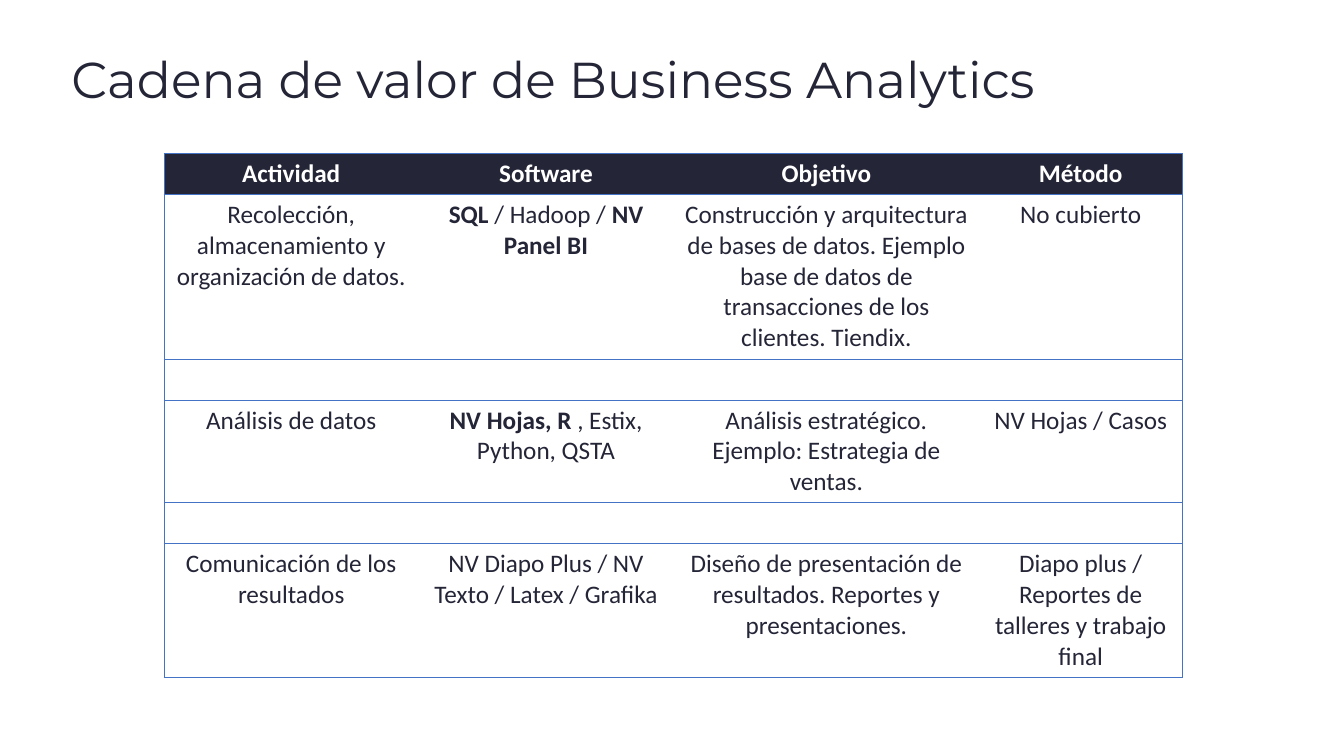
import pptx
import pptx.dml.color
import pptx.enum.text
import pptx.oxml
import pptx.oxml.ns
import pptx.util
from pptx.util import Cm

NAVY, WHITE, BLUE = "242537", "FFFFFF", "4472C4"
NO_STYLE = "{2D5ABB26-0587-4C30-8999-92F81FD0307C}"

# Text between asterisks is bold; an empty row separates the stages
ROWS = [
    ["*Actividad*", "*Software*", "*Objetivo*", "*Método*"],
    ["Recolección, almacenamiento y organización de datos.",
     "*SQL* / Hadoop / *NV Panel BI*",
     "Construcción y arquitectura de bases de datos. Ejemplo base de datos "
     "de transacciones de los clientes. Tiendix.",
     "No cubierto"],
    [""] * 4,
    ["Análisis de datos",
     "*NV Hojas, R* , Estix, Python, QSTA",
     "Análisis estratégico. Ejemplo: Estrategia de ventas.",
     "NV Hojas / Casos"],
    [""] * 4,
    ["Comunicación de los resultados",
     "NV Diapo Plus / NV Texto / Latex / Grafika",
     "Diseño de presentación de resultados. Reportes y presentaciones.",
     "Diapo plus / Reportes de talleres y trabajo final"],
]
ROW_LINES = [1, 5, 1, 3, 1, 4]
COL_WIDTHS = [6.42, 6.42, 7.71, 5.11]


def rgb(value):
    return pptx.dml.color.RGBColor.from_string(value)


def add_run(p, text, color, **formats):
    r = p.add_run()
    r.text = text
    for name, value in formats.items():
        setattr(r.font, name, value)
    r.font.color.rgb = rgb(color)


def add_title(s, left, top, width, height):
    tf = s.shapes.add_textbox(Cm(left), Cm(top), Cm(width), Cm(height)).text_frame
    tf.word_wrap = True
    tf.vertical_anchor = pptx.enum.text.MSO_ANCHOR.MIDDLE
    p = tf.paragraphs[0]
    p.line_spacing = 0.9
    add_run(p, "Cadena de valor de Business Analytics", NAVY,
            name="Montserrat", size=pptx.util.Pt(36))


def set_borders(cell, sides):
    tc_pr = cell._tc.get_or_add_tcPr()
    for side in "LRTB":
        if side in sides:
            width = pptx.util.Pt(0.5)
            paint = f'<a:solidFill><a:srgbClr val="{BLUE}"/></a:solidFill>'
        else:
            width, paint = 0, "<a:noFill/>"
        tc_pr.append(pptx.oxml.parse_xml(
            f'<a:ln{side} {pptx.oxml.ns.nsdecls("a")} w="{width}">{paint}</a:ln{side}>'))


def fill_cell(cell, text, is_header, sides):
    set_borders(cell, sides)
    if is_header:
        cell.fill.solid()
        cell.fill.fore_color.rgb = rgb(NAVY)
    else:
        cell.fill.background()
    p = cell.text_frame.paragraphs[0]
    p.alignment = pptx.enum.text.PP_ALIGN.CENTER
    for i, part in enumerate(text.split("*")):
        if part:
            add_run(p, part, WHITE if is_header else NAVY, name="Calibri",
                    size=pptx.util.Pt(18), bold=i % 2 == 1)


def add_value_chain(s, left, top):
    # Each row holds its lines of text plus the cell margins
    heights = [0.25 + 0.78 * lines for lines in ROW_LINES]
    table = s.shapes.add_table(len(ROWS), len(COL_WIDTHS), Cm(left), Cm(top),
                               Cm(sum(COL_WIDTHS)), Cm(sum(heights))).table
    table._tbl.tblPr.find(pptx.oxml.ns.qn("a:tableStyleId")).text = NO_STYLE
    table.horz_banding = False
    for column, width in zip(table.columns, COL_WIDTHS):
        column.width = Cm(width)
    for row, height in zip(table.rows, heights):
        row.height = Cm(height)

    # Rules above and below each row, side lines only on the outer edge
    last = len(COL_WIDTHS) - 1
    for i, texts in enumerate(ROWS):
        for j, text in enumerate(texts):
            sides = "TB" + ("L" if j == 0 else "R" if j == last else "")
            fill_cell(table.cell(i, j), text, i == 0, sides)


def main():
    prs = pptx.Presentation()
    prs.slide_width, prs.slide_height = Cm(33.87), Cm(19.05)
    s = prs.slides.add_slide(prs.slide_layouts[6])
    add_title(s, 1.55, 0.71, 29.21, 2.74)
    add_value_chain(s, 4.13, 3.87)
    prs.save("out.pptx")


if __name__ == "__main__":
    main()
